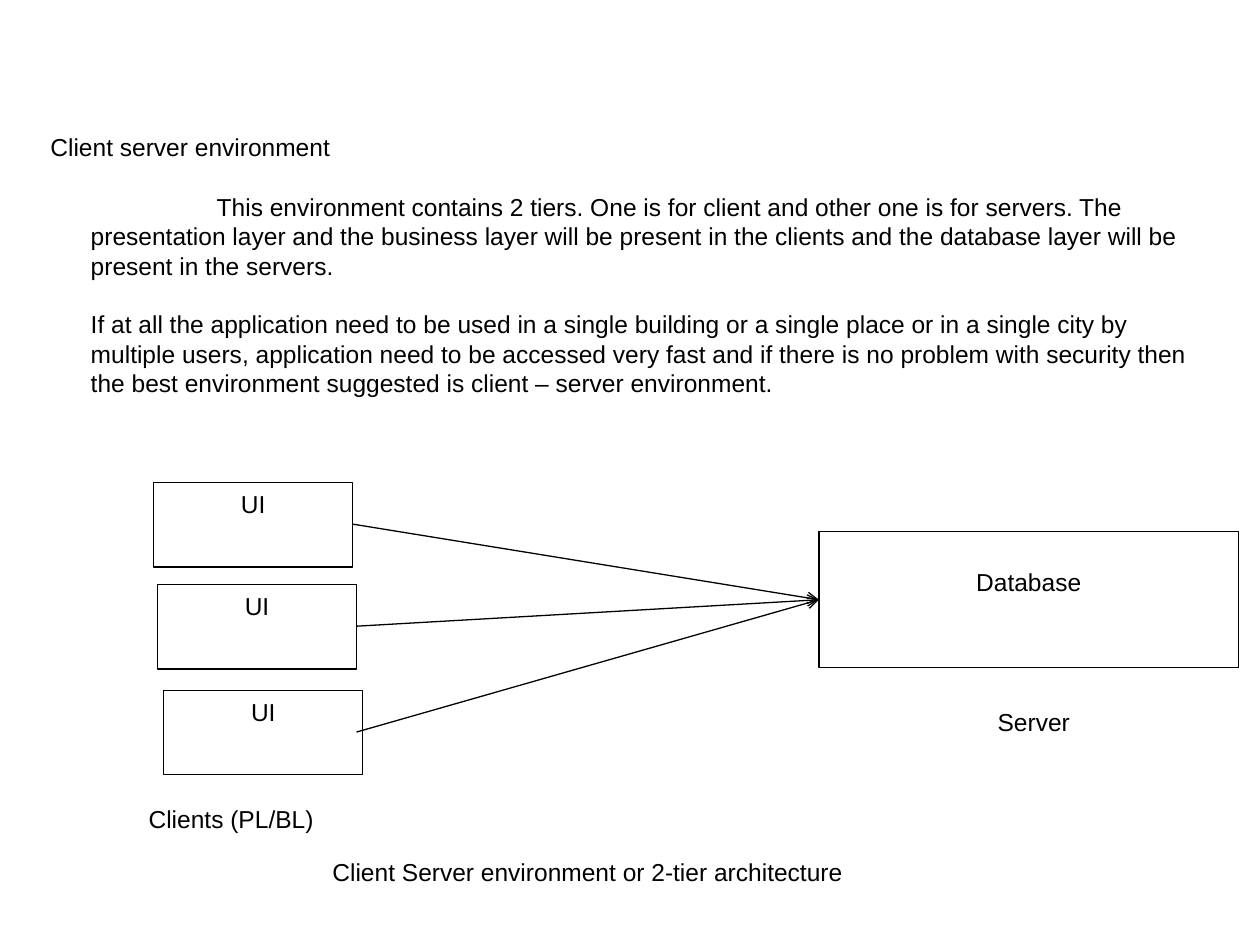
from dataclasses import dataclass

from lxml import etree
from pptx import Presentation
from pptx import util as u
from pptx.dml.color import RGBColor
from pptx.enum import shapes, text
from pptx.oxml.ns import qn


@dataclass(frozen=True)
class Theme:
    font: str = "Arial"
    size: u.Pt = u.Pt(14)
    leading: u.Pt = u.Pt(16.85)
    rule: u.Pt = u.Pt(0.75)
    ink: RGBColor = RGBColor(0, 0, 0)
    paper: RGBColor = RGBColor(255, 255, 255)


theme = Theme()


def write(sp, *lines, align=text.PP_ALIGN.CENTER, indent=0, gap=0, leading=None, top=0.05):
    """Fill a shape with one paragraph per line; gap separates paragraphs."""
    tf = sp.text_frame
    tf.word_wrap = True
    tf.auto_size = text.MSO_AUTO_SIZE.NONE
    tf.vertical_anchor = text.MSO_ANCHOR.TOP
    tf.margin_left = tf.margin_right = u.Inches(0.1)
    tf.margin_top, tf.margin_bottom = u.Inches(top), u.Inches(0.05)
    for i, line in enumerate(lines):
        p = tf.add_paragraph() if i else tf.paragraphs[0]
        p.alignment = align
        p.space_before = gap if i else u.Pt(0)
        p.line_spacing = leading
        pPr = p._p.get_or_add_pPr()
        pPr.set("marL", "0")
        pPr.set("indent", str(0 if i else u.Inches(indent)))
        etree.SubElement(pPr, qn("a:buNone"))
        r = p.add_run()
        r.text = line
        r.font.name, r.font.size = theme.font, theme.size
        r.font.color.rgb = theme.ink


def place(sp, *box):
    sp.left, sp.top, sp.width, sp.height = map(u.Inches, box)


prs = Presentation()
prs.slide_width, prs.slide_height = u.Inches(10), u.Inches(7.5)
s = prs.slides.add_slide(prs.slide_layouts[1])

# Heading and explanation
title, body = s.placeholders
place(title, 0.3, 1, 9.45, 0.34)
write(title, "Client server environment", align=text.PP_ALIGN.LEFT, leading=theme.leading)
place(body, 0.62, 1.47, 9.13, 1.97)
write(
    body,
    "This environment contains 2 tiers. One is for client and other one is for servers. "
    "The presentation layer and the business layer will be present in the clients and the "
    "database layer will be present in the servers.",
    "If at all the application need to be used in a single building or a single place or in "
    "a single city by multiple users, application need to be accessed very fast and if there "
    "is no problem with security then the best environment suggested is client – server "
    "environment.",
    align=text.PP_ALIGN.LEFT, indent=1, gap=theme.leading, leading=theme.leading,
)

# Server and client boxes: label, left, top, width, height, top inset
boxes = [
    ("Database", 6.5, 4.22, 3.33, 1.08, 0.28),
    ("UI", 1.22, 3.83, 1.58, 0.67, 0.05),
    ("UI", 1.25, 4.64, 1.58, 0.67, 0.05),
    ("UI", 1.3, 5.48, 1.58, 0.67, 0.05),
]
for label, *box, top in boxes:
    sp = s.shapes.add_shape(shapes.MSO_SHAPE.RECTANGLE, *map(u.Inches, box))
    sp.shadow.inherit = False
    sp.fill.solid()
    sp.fill.fore_color.rgb = theme.paper
    sp.line.color.rgb, sp.line.width = theme.ink, theme.rule
    write(sp, label, top=top)

# Arrows from each client to the database
for x, y in [(2.8, 4.16), (2.83, 4.97), (2.83, 5.81)]:
    arrow = s.shapes.add_connector(
        shapes.MSO_CONNECTOR.STRAIGHT, *map(u.Inches, (x, y, 6.5, 4.76)))
    arrow.line.color.rgb, arrow.line.width = theme.ink, theme.rule
    etree.SubElement(arrow.line._get_or_add_ln(), qn("a:tailEnd"), type="arrow")
    etree.SubElement(arrow._element.spPr, qn("a:effectLst"))

# Captions
captions = [
    ("Server", 7.33, 5.56, 1.75),
    ("Clients (PL/BL)", 0.67, 6.33, 2.33),
    ("Client Server environment or 2-tier architecture", 2.08, 6.75, 5.17),
]
for label, left, top, width in captions:
    caption = s.shapes.add_textbox(*map(u.Inches, (left, top, width, 0.34)))
    write(caption, label)

prs.save("out.pptx")
